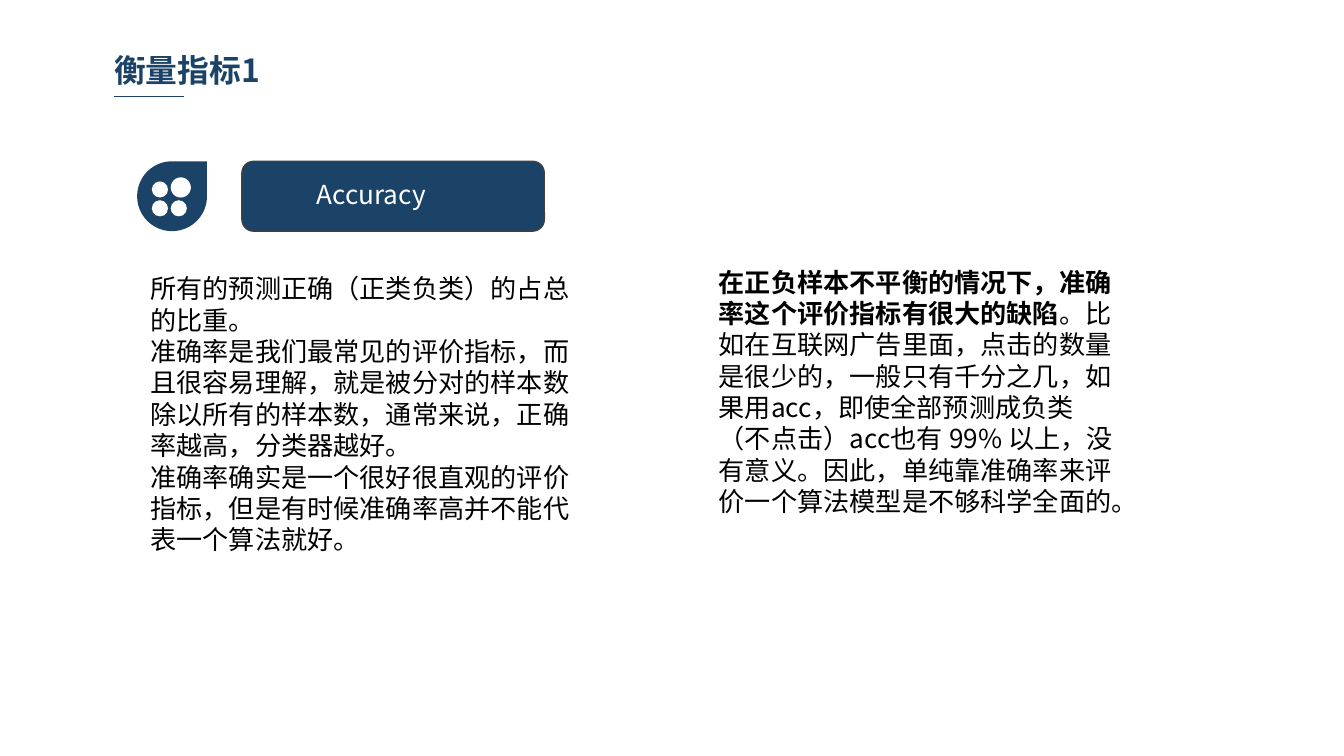
from lxml.etree import SubElement
from pptx import Presentation
from pptx.dml.color import RGBColor
from pptx.enum.shapes import MSO_CONNECTOR as Connector, MSO_SHAPE as Shape
from pptx.enum.text import MSO_ANCHOR as Anchor, PP_ALIGN as Align
from pptx.oxml.ns import qn
from pptx.util import Inches, Pt

COLORS = {"navy": "1B4367", "edge": "404040", "white": "FFFFFF", "black": "000000"}
HAN, LATIN = "Noto Sans CJK SC", "Lato"
WIDTH = 10
HEIGHT = WIDTH * 9 / 16

TITLE = [[("衡量指标1", True, HAN)]]
LABEL = [[("Accuracy", False, HAN)]]
DEFINITION = [
    [("所有的预测正确（正类负类）的占总的比重。", False, HAN)],
    [("准确率是我们最常见的评价指标，而且很容易理解，就是被分对的样本数除以所有的样本数，通常来说，正确率越高，分类器越好。 \n准确率确实是一个很好很直观的评价指标，但是有时候准确率高并不能代表一个算法就好。", False, HAN)],
]
DRAWBACK = [[
    ("在正负样本不平衡的情况下，准确率这个评价指标有很大的缺陷", True, HAN),
    ("。比如在互联网广告里面，点击的数量是很少的，一般只有千分之几，如果用acc，即使全部预测成负类（不点击）acc也有 99% 以上，没有意义。因此，单纯靠准确率来评价一个算法模型是不够科学全面的", False, HAN),
    ("。", False, LATIN),
]]

LEFT, RIGHT = 0.102 * WIDTH, 0.525 * WIDTH
BADGE_TOP, BADGE = 1.2, 0.52
DOT, BIG_DOT = 0.12, 0.15
DOT_LEFT, DOT_BOTTOM, DOT_STEP = LEFT + 0.11, BADGE_TOP + 0.41, 0.14


def color(name):
    return RGBColor.from_string(COLORS[name])


def write(frame, content, size, ink, insets=(0.1, 0.05), spacing=1.0):
    side, top = (Inches(inset) for inset in insets)
    frame.margin_left = frame.margin_right = side
    frame.margin_top = frame.margin_bottom = top
    frame.word_wrap = True
    for index, spans in enumerate(content):
        para = frame.paragraphs[0] if index == 0 else frame.add_paragraph()
        para.alignment, para.line_spacing = Align.LEFT, spacing
        for text, bold, font in spans:
            for number, line in enumerate(text.split("\n")):
                if number:
                    para.add_line_break()
                span = para.add_run()
                span.text = line
                span.font.size, span.font.bold, span.font.name = Pt(size), bold, font
                span.font.color.rgb = color(ink)
                SubElement(span.font._element, qn("a:ea"), typeface=font)


def add_text(page, area, content, size, ink, **options):
    box = page.shapes.add_textbox(*map(Inches, area))
    write(box.text_frame, content, size, ink, **options)


def add_filled(shapes, kind, area, fill):
    shape = shapes.add_shape(kind, *map(Inches, area))
    shape.shadow.inherit = False
    shape.fill.solid()
    shape.fill.fore_color.rgb = color(fill)
    shape.line.fill.background()
    return shape


def add_title(page):
    add_text(page, (0.78, 0.34, 2.47, 0.36), TITLE, 17, "navy", insets=(0.07, 0.04))
    start, level = 0.85, 0.72
    rule = page.shapes.add_connector(
        Connector.STRAIGHT, *map(Inches, (start, level, start + BADGE, level)))
    rule.line.color.rgb, rule.line.width = color("navy"), Pt(0.75)
    SubElement(rule._element.spPr, qn("a:effectLst"))


def add_heading(page):
    banner = add_filled(page.shapes, Shape.ROUNDED_RECTANGLE,
                        (0.18 * WIDTH, BADGE_TOP, 0.225 * WIDTH, BADGE), "navy")
    banner.line.color.rgb, banner.line.width = color("edge"), Pt(0.75)
    write(banner.text_frame, LABEL, 14, "white", insets=(0.53, 0), spacing=0.9)
    banner.text_frame.vertical_anchor = Anchor.MIDDLE

    badge = page.shapes.add_group_shape()
    add_filled(badge.shapes, Shape.TEAR, (LEFT, BADGE_TOP, BADGE, BADGE), "navy")
    for row in range(2):
        for column in range(2):
            size = BIG_DOT if (row, column) == (0, 1) else DOT
            bottom = DOT_BOTTOM - (1 - row) * DOT_STEP
            add_filled(badge.shapes, Shape.OVAL,
                       (DOT_LEFT + column * DOT_STEP, bottom - size, size, size), "white")


def main():
    """Build the accuracy metric slide."""
    deck = Presentation()
    deck.slide_width, deck.slide_height = Inches(WIDTH), Inches(HEIGHT)
    page = deck.slides.add_slide(deck.slide_layouts[6])
    add_title(page)
    add_heading(page)
    add_text(page, (LEFT, 1.98, 3.32, 2.93), DEFINITION, 14, "black")
    add_text(page, (RIGHT, 1.93, 3.14, 2.46), DRAWBACK, 14, "black")
    deck.save("out.pptx")


if __name__ == "__main__":
    main()
